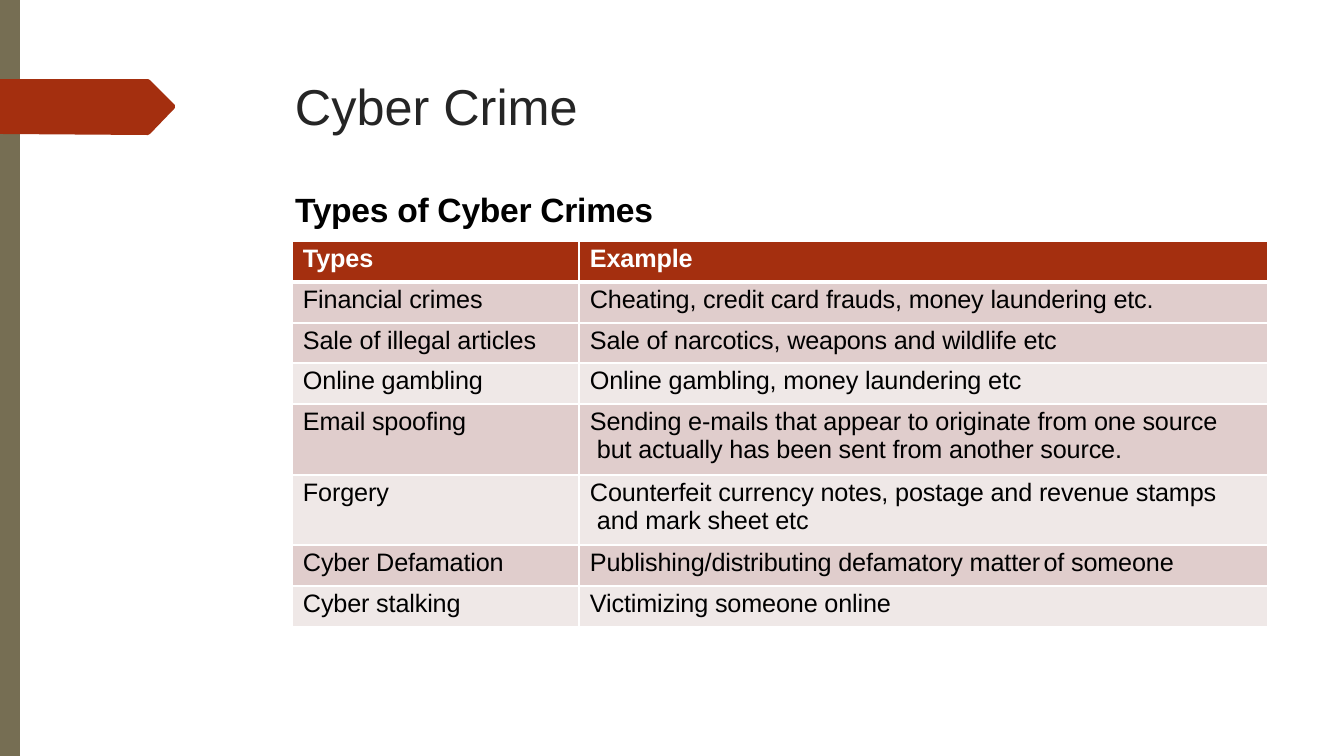
from lxml import etree
from pptx import Presentation
from pptx.dml.color import RGBColor
from pptx.enum.text import MSO_ANCHOR
from pptx.oxml.ns import qn
from pptx.util import Pt

TITLE = "Cyber Crime"
SUBTITLE = "Types of Cyber Crimes"
HEADER = ("Types", "Example")
CRIMES = [
    ("Financial crimes", "Cheating, credit card frauds, money laundering etc."),
    ("Sale of illegal articles", "Sale of narcotics, weapons and wildlife etc"),
    ("Online gambling", "Online gambling, money laundering etc"),
    ("Email spoofing", "Sending e-mails that appear to originate from one source\v"
                       "but actually has been sent from another source."),
    ("Forgery", "Counterfeit currency notes, postage and revenue stamps\v"
                "and mark sheet etc"),
    ("Cyber Defamation", "Publishing/distributing defamatory matter\tof someone"),
    ("Cyber stalking", "Victimizing someone online"),
]

FONT = "Arial"
WHITE = RGBColor(0xFF, 0xFF, 0xFF)
BLACK = RGBColor(0, 0, 0)
CHARCOAL = RGBColor(0x25, 0x25, 0x25)
OLIVE = RGBColor(0x76, 0x6E, 0x53)
RUST = RGBColor(0xA4, 0x2F, 0x0F)
ROSE = RGBColor(0xE0, 0xCD, 0xCC)
PALE = RGBColor(0xEF, 0xE8, 0xE7)
ROW_FILLS = [RUST, ROSE, ROSE, PALE, ROSE, PALE, ROSE, PALE]

# Lengths in px
SCALE = 914400 / 100.8
SLIDE_WIDTH, SLIDE_HEIGHT = 1344, 756
STRIPE = [(0, 0), (20, 0), (20, 756), (0, 756)]
ARROW = [(0, 79), (148, 79), (150, 80), (175, 105), (175, 108),
         (150, 134), (148, 135), (0, 134)]
TEXT_LEFT = 295
TABLE_LEFT, TABLE_TOP = 292, 241
COLUMN_WIDTHS = [287, 689]
ROW_HEIGHTS = [41, 41, 40, 41, 71, 70, 41, 41]
CELL_INDENT, HANGING, CELL_TOP = 11, 7, 4
TAB_STOP = 481


def px(length):
    return round(length * SCALE)


def format_runs(paragraph, size, color, bold=False, spacing=0):
    for run in paragraph.runs:
        run.font.name = FONT
        run.font.size = Pt(size)
        run.font.bold = bold
        run.font.color.rgb = color
        run._r.get_or_add_rPr().set("spc", str(spacing))


def add_outline(slide, points, color):
    builder = slide.shapes.build_freeform(*points[0], scale=SCALE)
    builder.add_line_segments(points[1:], close=True)
    shape = builder.convert_to_shape()
    shape.shadow.inherit = False
    shape.fill.solid()
    shape.fill.fore_color.rgb = color
    shape.line.fill.background()


def add_heading(slide, text, top, width, height, size, color, bold, spacing):
    box = slide.shapes.add_textbox(px(TEXT_LEFT), px(top), px(width), px(height))
    frame = box.text_frame
    frame.word_wrap = True
    frame.margin_left = frame.margin_right = frame.margin_bottom = 0
    frame.margin_top = px(3)
    frame.text = text
    format_runs(frame.paragraphs[0], size, color, bold, spacing)


def add_border(properties, side, points):
    line = etree.SubElement(properties, qn("a:" + side), w=str(Pt(points)))
    fill = etree.SubElement(line, qn("a:solidFill"))
    etree.SubElement(fill, qn("a:srgbClr"), val=str(WHITE))


def fill_cell(cell, text, row):
    is_header = row == 0
    cell.margin_left = cell.margin_right = cell.margin_bottom = 0
    cell.margin_top = px(CELL_TOP)
    cell.vertical_anchor = MSO_ANCHOR.TOP
    paragraph = cell.text_frame.paragraphs[0]
    paragraph.text = text

    # Second lines hang a little further in
    hanging = HANGING if "\v" in text else 0
    layout = paragraph._p.get_or_add_pPr()
    layout.set("marL", str(px(CELL_INDENT + hanging)))
    layout.set("indent", str(px(-hanging)))
    if "\t" in text:
        tabs = etree.SubElement(layout, qn("a:tabLst"))
        etree.SubElement(tabs, qn("a:tab"), pos=str(px(TAB_STOP)), algn="l")
    format_runs(paragraph, 18, WHITE if is_header else BLACK, is_header, -10)

    # The rule under the header is thicker
    properties = cell._tc.get_or_add_tcPr()
    widths = {"lnL": 1, "lnR": 1, "lnT": 3 if row == 1 else 1, "lnB": 3 if is_header else 1}
    for side, points in widths.items():
        add_border(properties, side, points)
    cell.fill.solid()
    cell.fill.fore_color.rgb = ROW_FILLS[row]


def add_crime_table(slide):
    rows = [HEADER] + CRIMES
    frame = slide.shapes.add_table(
        len(rows), len(HEADER), px(TABLE_LEFT), px(TABLE_TOP),
        px(sum(COLUMN_WIDTHS)), px(sum(ROW_HEIGHTS)))
    table = frame.table
    table.horz_banding = False
    for column, width in zip(table.columns, COLUMN_WIDTHS):
        column.width = px(width)
    for index, texts in enumerate(rows):
        table.rows[index].height = px(ROW_HEIGHTS[index])
        for column, text in enumerate(texts):
            fill_cell(table.cell(index, column), text, index)


def main():
    presentation = Presentation()
    presentation.slide_width = px(SLIDE_WIDTH)
    presentation.slide_height = px(SLIDE_HEIGHT)
    slide = presentation.slides.add_slide(presentation.slide_layouts[6])

    # Side decoration
    add_outline(slide, STRIPE, OLIVE)
    add_outline(slide, ARROW, RUST)

    # Headings and table
    add_heading(slide, TITLE, 72, 300, 63, 36, CHARCOAL, False, 0)
    add_heading(slide, SUBTITLE, 186, 380, 43, 24, BLACK, True, -20)
    add_crime_table(slide)
    presentation.save("out.pptx")


if __name__ == "__main__":
    main()
